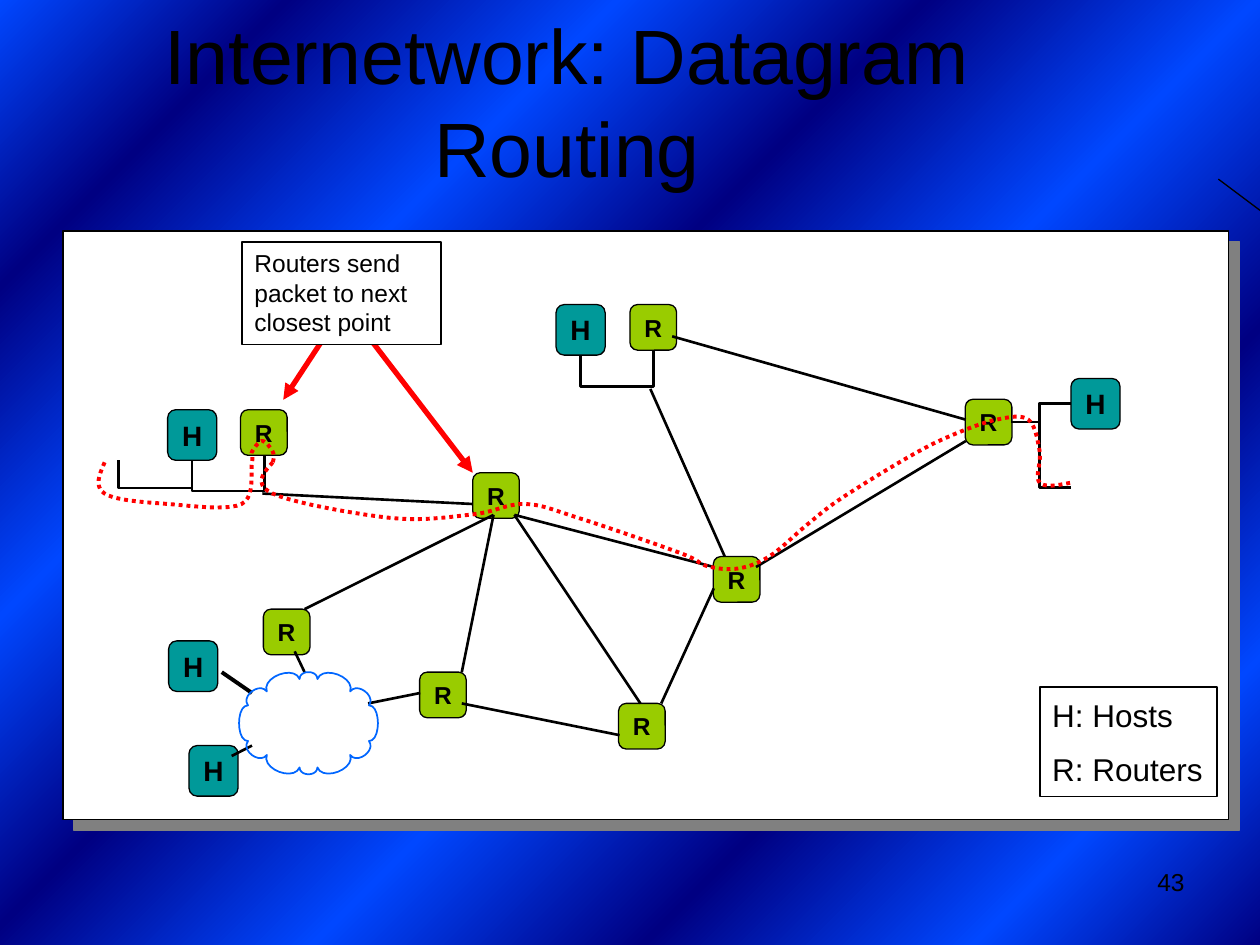
from math import hypot

from lxml.etree import SubElement
from pptx import Presentation
from pptx.dml.color import RGBColor
from pptx.enum.dml import MSO_LINE_DASH_STYLE as Dash
from pptx.enum.shapes import MSO_CONNECTOR as Link, MSO_SHAPE as Preset
from pptx.enum.text import MSO_ANCHOR as Anchor, PP_ALIGN as Align
from pptx.oxml.ns import qn
from pptx.util import Cm, Pt

COLORS = {"ink": "000000", "paper": "FFFFFF", "shadow": "808080", "router": "99CC00",
          "host": "009999", "route": "FF0000", "cloud": "0066FF",
          "navy": "000082", "blue": "0047FF"}
STOPS = [0, 13, 28, 43, 58, 72, 87, 100]

ROUTERS = [(7.19, 8.89), (8.26, 4.87), (11.2, 9.52), (18.19, 3.39),
           (3.58, 3.6), (4.04, 7.62), (11.43, 1.48), (13.11, 6.56)]
HOSTS = [(2.11, 3.6), (2.13, 8.26), (20.32, 2.97), (2.54, 10.37), (9.94, 1.48)]
LINKS = [((3.4, 10.58), (3.81, 10.37)), ((4.67, 8.47), (4.87, 8.89)),
         ((6.15, 9.52), (7.2, 9.31)), ((4.02, 5.29), (8.26, 5.5)),
         ((8.04, 8.89), (8.68, 5.72)), ((18.2, 4.23), (13.97, 6.77)),
         ((4.87, 7.62), (8.68, 5.72)), ((11.84, 3.18), (13.34, 6.56)),
         ((8.04, 9.52), (11.22, 10.16)), ((11.64, 9.52), (9.1, 5.72)),
         ((13.12, 7.2), (12.06, 9.52)), ((18.2, 3.8), (12.28, 2.12)),
         ((13.12, 6.77), (9.1, 5.72))]
HANGING_ELBOWS = [((1.12, 4.62), (2.6, 4.62), 5.18), ((2.6, 4.62), (4.06, 4.52), 5.24),
                  ((10.43, 2.5), (11.9, 2.4), 3.13)]
SIDE_ELBOWS = [((20.32, 3.47), (20.32, 5.17), 19.69), ((20.32, 3.47), (19.13, 3.85), 19.69)]
ARROWS = [((5.28, 2.12), (4.44, 3.4)), ((6.15, 2.12), (8.26, 4.87))]
ROUTES = [
    [(0.84, 4.66), (0.84, 5.29), (2.12, 5.5), (3.6, 5.5), (3.81, 4.66), (3.81, 4.45),
     (4.02, 4.23), (4.23, 4.45), (4.23, 4.66)],
    [(4.23, 4.66), (4.23, 5.29), (6.6, 5.78), (8.26, 5.71), (9.31, 5.5), (10.39, 5.78),
     (12.45, 6.49), (12.98, 6.75), (13.61, 6.8), (14.25, 6.55), (15.01, 5.91),
     (15.7, 5.38), (17.07, 4.54), (17.93, 4.11), (18.82, 3.8), (19.46, 3.8),
     (19.69, 4.44), (19.69, 5.07), (20.32, 5.07)],
]


def color(name):
    """Return the named colour."""
    return RGBColor.from_string(COLORS[name])


def place(box, point):
    """Turn a point inside a box into slide lengths."""
    return Cm(box[0] + point[0]), Cm(box[1] + point[1])


def set_line(shape, name, width):
    """Give a shape or connector a plain line."""
    shape.line.color.rgb = color(name)
    shape.line.width = Pt(width)


def write(shape, lines, size, align=Align.LEFT, bold=False, wrap=True, anchor=Anchor.TOP, gap=0):
    """Write one paragraph for each line."""
    frame = shape.text_frame
    frame.word_wrap = wrap
    frame.vertical_anchor = anchor
    frame.text = "\n".join(lines)
    for index, para in enumerate(frame.paragraphs):
        para.alignment = align
        para.space_before = Pt(gap if index else 0)
        para.font.name, para.font.size, para.font.bold = "Arial", Pt(size), bold
        para.font.color.rgb = color("ink")


def add_box(page, box, point, size, fill, preset=Preset.RECTANGLE, width=0.75):
    """Add a filled, outlined shape inside a box."""
    shape = page.shapes.add_shape(preset, *place(box, point), Cm(size[0]), Cm(size[1]))
    shape.shadow.inherit = False
    shape.fill.solid()
    shape.fill.fore_color.rgb = color(fill)
    set_line(shape, "ink", width)
    return shape


def add_link(page, box, start, end, name="ink", width=1.5, arrow=False):
    """Add a straight connector, with an arrowhead if asked."""
    link = page.shapes.add_connector(Link.STRAIGHT, *place(box, start), *place(box, end))
    set_line(link, name, width)
    if arrow:
        SubElement(link.line._get_or_add_ln(), qn("a:tailEnd"), type="triangle")
    SubElement(link._element.spPr, qn("a:effectLst"))


def add_elbow(page, box, start, end, via, hanging):
    """Add an elbow connector whose middle part lies at via."""
    first = 1 if hanging else 0
    along = end[first] - start[first] or 0.01
    across = end[1 - first] - start[1 - first]
    width, height = abs(along), abs(across)
    left, top = ((start[i] + end[i]) / 2 - side / 2 for i, side in enumerate((width, height)))
    link = page.shapes.add_connector(Link.ELBOW, *place(box, (left, top)),
                                     *place(box, (left + width, top + height)))
    set_line(link, "ink", 1.5)
    properties = link._element.spPr
    frame = properties.find(qn("a:xfrm"))
    frame.set("rot", "5400000" if hanging else "0")
    frame.set("flipH", str(int(along < 0)))
    frame.set("flipV", str(int((across > 0) == hanging)))
    ratio = round((via - start[first]) / along * 100000)
    guides = properties.find(qn("a:prstGeom")).get_or_add_avLst()
    SubElement(guides, qn("a:gd"), name="adj1", fmla=f"val {ratio}")
    SubElement(properties, qn("a:effectLst"))


def mix(a, b, share):
    """Return the point at a share of the way from a to b."""
    return tuple(p + (q - p) * share for p, q in zip(a, b))


def bezier(a, b, c, d, steps=10):
    """Sample a cubic curve, leaving out its first point."""
    points = []
    for step in range(1, steps + 1):
        t = step / steps
        ab, bc, cd = mix(a, b, t), mix(b, c, t), mix(c, d, t)
        points.append(mix(mix(ab, bc, t), mix(bc, cd, t), t))
    return points


def smooth(anchors):
    """Sample a smooth curve through the anchors."""
    last = len(anchors) - 1

    def handle(index, sign):
        before, after = anchors[index - 1], anchors[index + 1]
        return tuple(p + sign * (q - r) / 6 for p, q, r in zip(anchors[index], after, before))

    points = [anchors[0]]
    for i in range(last):
        a, d = anchors[i], anchors[i + 1]
        b = handle(i, 1) if i else mix(a, handle(1, -1), 0.5)
        c = handle(i + 1, -1) if i + 1 < last else mix(d, handle(i, 1), 0.5)
        points += bezier(a, b, c, d)
    return points


def add_curve(page, box, points, name, width, close=False):
    """Draw an unfilled outline through the points."""
    start, *rest = [place(box, point) for point in points]
    builder = page.shapes.build_freeform(*start)
    builder.add_line_segments(rest, close=close)
    curve = builder.convert_to_shape()
    curve.shadow.inherit = False
    curve.fill.background()
    set_line(curve, name, width)
    return curve


def add_cloud(page, box, center):
    """Draw a symmetric cloud of twelve bumps around its centre."""
    quarter = [(0.18, -0.89), (0.84, -0.64), (1.22, -0.36)]
    right = quarter + [(x, -y) for x, y in reversed(quarter)]
    cusps = right + [(-x, y) for x, y in reversed(right)]
    bulges = [0.23, 0.18, 0.18, 0.18, 0.23, 0.14] * 2
    points = [cusps[0]]
    for a, d, bulge in zip(cusps, cusps[1:] + cusps[:1], bulges):
        dx, dy = d[0] - a[0], d[1] - a[1]
        scale = bulge * 4 / 3 / hypot(dx, dy)
        out = (dy * scale, -dx * scale)
        points += bezier(a, (a[0] + out[0], a[1] + out[1]), (d[0] + out[0], d[1] + out[1]), d)
    add_curve(page, box, [(center[0] + x, center[1] + y) for x, y in points], "cloud", 1, True)


def add_background(page):
    """Fill the page with blue and navy bands."""
    page.background.fill.gradient()
    gradient = page._element.find(f".//{qn('p:bgPr')}/{qn('a:gradFill')}")
    for child in list(gradient):
        gradient.remove(child)
    stops = SubElement(gradient, qn("a:gsLst"))
    for index, position in enumerate(STOPS):
        stop = SubElement(stops, qn("a:gs"), pos=str(position * 1000))
        SubElement(stop, qn("a:srgbClr"), val=COLORS["blue" if index % 2 else "navy"])
    shade = SubElement(gradient, qn("a:path"), path="circle")
    SubElement(shade, qn("a:fillToRect"), l="100000", t="100000")


def add_text(page, box, text, size, align, anchor):
    """Write a line of text in a box."""
    write(page.shapes.add_textbox(*map(Cm, box)), [text], size, align, anchor=anchor)


def add_panel(page, box):
    """Draw the white panel with its hard shadow."""
    panel = add_box(page, box, (0, 0), box[2:], "paper")
    effects = panel._element.spPr.find(qn("a:effectLst"))
    shadow = SubElement(effects, qn("a:outerShdw"), dist="107950", dir="2700000", algn="ctr")
    SubElement(shadow, qn("a:srgbClr"), val=COLORS["shadow"])


def add_network(page, box):
    """Draw hosts, routers, links and the datagram route."""
    kinds = [("R", ROUTERS, (0.94, 0.92), "router", 14), ("H", HOSTS, (0.99, 1.02), "host", 16)]
    for letter, points, size, fill, points_size in kinds:
        for point in points:
            node = add_box(page, box, point, size, fill, Preset.FLOWCHART_ALTERNATE_PROCESS)
            write(node, [letter], points_size, Align.CENTER, True, False, Anchor.MIDDLE)
    for start, end in LINKS:
        add_link(page, box, start, end)
    add_link(page, box, (3.2, 8.89), (3.81, 9.31), width=2.25)
    add_link(page, box, (24.13, -0.42), (23.29, -1.05), width=0.75)
    for elbows, hanging in ((HANGING_ELBOWS, True), (SIDE_ELBOWS, False)):
        for start, end, via in elbows:
            add_elbow(page, box, start, end, via, hanging)
    for anchors in ROUTES:
        add_curve(page, box, smooth(anchors), "route", 2.25).line.dash_style = Dash.ROUND_DOT
    add_cloud(page, box, (4.95, 9.92))


def add_notes(page, box):
    """Add the callout with its arrows, and the legend."""
    for start, end in ARROWS:
        add_link(page, box, start, end, "route", 3, True)
    callout = add_box(page, box, (3.61, 0.22), (4.01, 2.06), "paper")
    write(callout, ["Routers send packet to next closest point"], 14)
    legend = add_box(page, box, (19.69, 9.19), (3.58, 2.21), "paper", width=1)
    write(legend, ["H: Hosts", "R: Routers"], 18, wrap=False, anchor=Anchor.MIDDLE, gap=9)


def main():
    """Build and save the deck."""
    deck = Presentation()
    deck.slide_width, deck.slide_height = Cm(25.4), Cm(19.05)
    page = deck.slides.add_slide(deck.slide_layouts[6])
    panel = (1.27, 4.66, 23.5, 11.86)
    add_background(page)
    add_text(page, (18.21, 17.35, 5.92, 1.32), "43", 14, Align.RIGHT, Anchor.TOP)
    add_panel(page, panel)
    add_text(page, (0.64, 0.43, 21.59, 3.18), "Internetwork: Datagram Routing", 44,
             Align.CENTER, Anchor.MIDDLE)
    add_network(page, panel)
    add_notes(page, panel)
    deck.save("out.pptx")


if __name__ == "__main__":
    main()
